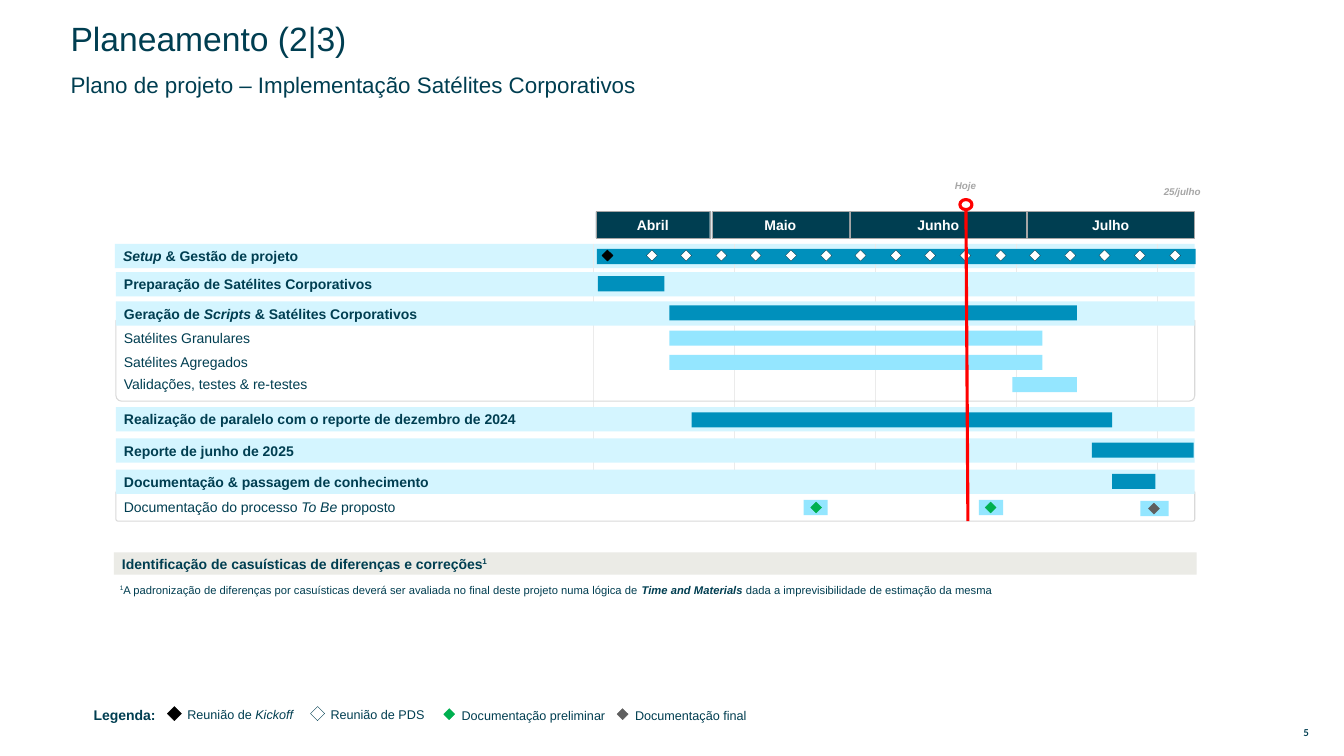
"""Build a project plan slide with a Gantt chart."""
import pptx
import pptx.dml.color
import pptx.enum.shapes
import pptx.enum.text
import pptx.oxml
import pptx.oxml.ns
import pptx.util

RGB = pptx.dml.color.RGBColor
KIND = pptx.enum.shapes.MSO_SHAPE
ALIGN = pptx.enum.text.PP_ALIGN
ANCHOR = pptx.enum.text.MSO_ANCHOR

SCALE = 9144
NAVY = RGB(0x00, 0x3E, 0x51)
BLUE = RGB(0x00, 0x90, 0xBC)
SKY = RGB(0x94, 0xE6, 0xFF)
PALE = RGB(0xD4, 0xF5, 0xFF)
SAND = RGB(0xEB, 0xEB, 0xE6)
WHITE = RGB(0xFF, 0xFF, 0xFF)
BLACK = RGB(0x00, 0x00, 0x00)
GREEN = RGB(0x00, 0xB0, 0x50)
GREY = RGB(0x5F, 0x5F, 0x5F)
SILVER = RGB(0xA6, 0xA6, 0xA6)
EDGE = RGB(0xD9, 0xD9, 0xD9)
GRID = RGB(0xEB, 0xEB, 0xEB)
RED = RGB(0xFF, 0x00, 0x00)

MONTHS = [("Abril", 591, 113), ("Maio", 706, 136), ("Junho", 843, 175), ("Julho", 1019, 165)]
ROWS = [
    (270, [("Preparação de Satélites Corporativos", "b")]),
    (299, [("Geração de ", "b"), ("Scripts", "bi"), (" & Satélites Corporativos", "b")]),
    (404, [("Realização de paralelo com o reporte de dezembro de 2024", "b")]),
    (435, [("Reporte de junho de 2025", "b")]),
    (466, [("Documentação & passagem de conhecimento", "b")]),
]
TASKS = [
    (324, 23, [("Satélites Granulares", "")]),
    (348, 22, [("Satélites Agregados", "")]),
    (371, 20, [("Validações, testes & re-testes", "")]),
    (493, 20, [("Documentação do processo ", ""), ("To Be", "i"), (" proposto", "")]),
]
BARS = [
    (593, 274, 66, BLUE), (664, 303, 404, BLUE), (664, 328, 370, SKY),
    (664, 352, 370, SKY), (1004, 374, 64, SKY), (686, 409, 417, BLUE),
    (1083, 439, 101, BLUE), (1103, 470, 43, BLUE), (797, 496, 24, SKY),
    (971, 496, 24, SKY), (1131, 497, 28, SKY),
]
DOCS = [(804, 498, GREEN), (977, 498, GREEN), (1139, 499, GREY)]
KEYS = [
    (166, 701, 14, BLACK, BLACK, 176, 695, 129, [("Reunião de ", ""), ("Kickoff", "i")]),
    (308, 701, 14, WHITE, NAVY, 318, 695, 129, [("Reunião de PDS", "")]),
    (440, 703, 11, GREEN, GREEN, 448, 696, 169, [("Documentação preliminar", "")]),
    (612, 703, 11, GREY, GREY, 620, 696, 141, [("Documentação final", "")]),
]


def px(*nums):
    """Turn pixel lengths into EMU."""
    return [pptx.util.Emu(num * SCALE) for num in nums]


def write(frame, runs, size, color=NAVY, align=ALIGN.LEFT, anchor=ANCHOR.MIDDLE,
          pad=(10, 5), lead=1.0, face="Arial"):
    """Fill a text frame with one paragraph of styled runs."""
    side, top = px(*pad)
    look = {"word_wrap": True, "auto_size": pptx.enum.text.MSO_AUTO_SIZE.NONE,
            "vertical_anchor": anchor, "margin_left": side, "margin_right": side,
            "margin_top": top, "margin_bottom": top}
    for name, value in look.items():
        setattr(frame, name, value)
    para = frame.paragraphs[0]
    para.alignment = align
    para.line_spacing = lead
    para.space_before = pptx.util.Pt(0)
    for text, style in runs:
        run = para.add_run()
        run.text = text
        font = {"name": face, "size": pptx.util.Pt(size),
                "bold": "b" in style, "italic": "i" in style}
        for name, value in font.items():
            setattr(run.font, name, value)
        run.font.color.rgb = color
        if "^" in style:
            run.font._element.set("baseline", "30000")


def label(slide, box, runs, size, **form):
    """Add a text box."""
    write(slide.shapes.add_textbox(*px(*box)).text_frame, runs, size, **form)


def holder(shape, box, text, size):
    """Move a placeholder and write its text without a bullet."""
    shape.left, shape.top, shape.width, shape.height = px(*box)
    props = shape.text_frame.paragraphs[0]._p.get_or_add_pPr()
    props.set("marL", "0")
    props.set("indent", "0")
    props.append(pptx.oxml.parse_xml("<a:buNone %s/>" % pptx.oxml.ns.nsdecls("a")))
    write(shape.text_frame, [(text, "")], size, lead=0.9)


def block(slide, box, fill=None, line=None, width=0.25, kind=KIND.RECTANGLE):
    """Add a flat shape."""
    shape = slide.shapes.add_shape(kind, *px(*box))
    shape.shadow.inherit = False
    if fill is None:
        shape.fill.background()
    else:
        shape.fill.solid()
        shape.fill.fore_color.rgb = fill
    if line is None:
        shape.line.fill.background()
    else:
        shape.line.color.rgb = line
        shape.line.width = pptx.util.Pt(width)
    return shape


def gem(slide, left, top, size, fill, line):
    """Add a diamond marker."""
    block(slide, (left, top, size, size), fill, line, kind=KIND.DIAMOND)


def row(slide, box, runs, fill=PALE):
    """Add a heading band."""
    write(block(slide, box, fill).text_frame, runs, 10, pad=(8, 0))


def frame(slide, top, height):
    """Add an outline with rounded lower corners."""
    shape = block(slide, (115, top, 1070, height), None, EDGE, 0.75,
                  KIND.ROUND_2_SAME_RECTANGLE)
    shape.adjustments[0] = 0
    shape.adjustments[1] = 0.07


def rule(slide, ends, color, width):
    """Add a straight line."""
    line = slide.shapes.add_connector(pptx.enum.shapes.MSO_CONNECTOR.STRAIGHT, *px(*ends))
    line.line.color.rgb = color
    line.line.width = pptx.util.Pt(width)
    line._element.spPr.append(
        pptx.oxml.parse_xml("<a:effectLst %s/>" % pptx.oxml.ns.nsdecls("a")))


def chart(slide):
    """Draw the bands, bars and markers of the plan."""
    frame(slide, 488, 29)
    row(slide, (114, 242, 1071, 24), [("Setup", "bi"), (" & Gestão de projeto", "b")])
    for step in range(5):
        left = 588 + 140 * step
        rule(slide, (left, 242, left, 490), GRID, 0.25)
    block(slide, (592, 247, 594, 15), BLUE)
    gem(slide, 597, 248, 11, BLACK, BLACK)
    for week in range(16):
        gem(slide, 641 + 346 * week // 10, 248, 11, WHITE, NAVY)
    for name, left, width in MONTHS:
        head = block(slide, (left, 210, width, 26), NAVY, SILVER)
        write(head.text_frame, [(name, "b")], 10, WHITE, ALIGN.CENTER, pad=(0, 5))
    frame(slide, 318, 80)
    for top, runs in ROWS:
        row(slide, (115, top, 1070, 24), runs)
    for top, height, runs in TASKS:
        label(slide, (113, top, 423, height), runs, 10)
    for left, top, width, fill in BARS:
        block(slide, (left, top, width, 15), fill)
    for left, top, fill in DOCS:
        gem(slide, left, top, 11, fill, fill)


def main():
    """Build and save the slide."""
    deck = pptx.Presentation()
    deck.slide_width, deck.slide_height = px(1333, 750)
    slide = deck.slides.add_slide(deck.slide_layouts[1])
    holder(slide.shapes.title, (60, 27, 795, 26), "Planeamento (2|3)", 24)
    holder(slide.placeholders[1], (60, 73, 766, 26),
           "Plano de projeto – Implementação Satélites Corporativos", 16)
    chart(slide)
    row(slide, (113, 548, 1074, 22),
        [("Identificação de casuísticas de diferenças e correções", "b"), ("1", "b^")], SAND)
    note = [("1", "^"), ("A padronização de diferenças por casuísticas deverá ser avaliada "
                         "no final deste projeto numa lógica de ", ""),
            ("Time and Materials ", "bi"),
            ("dada a imprevisibilidade de estimação da mesma", "")]
    label(slide, (109, 572, 1081, 24), note, 8, anchor=ANCHOR.TOP, lead=1.1)
    label(slide, (83, 694, 83, 29), [("Legenda:", "b")], 10, anchor=ANCHOR.TOP, lead=1.1)
    for left, top, size, fill, line, start, high, width, runs in KEYS:
        gem(slide, left, top, size, fill, line)
        label(slide, (start, high, width, 27), runs, 9, anchor=ANCHOR.TOP, lead=1.1)
    rule(slide, (958, 202, 960, 517), RED, 2.25)
    block(slide, (952, 198, 12, 10), WHITE, RED, 2.25, KIND.OVAL)
    for text, left, top in [("Hoje", 922, 173), ("25/julho", 1137, 179)]:
        label(slide, (left, top, 71, 23), [(text, "bi")], 7, color=SILVER,
              align=ALIGN.CENTER, anchor=ANCHOR.TOP, pad=(0, 5))
    label(slide, (1273, 719, 45, 16), [("5", "b")], 6.8, align=ALIGN.CENTER,
          pad=(6, 3), face="Lato")
    deck.save("out.pptx")


if __name__ == "__main__":
    main()
